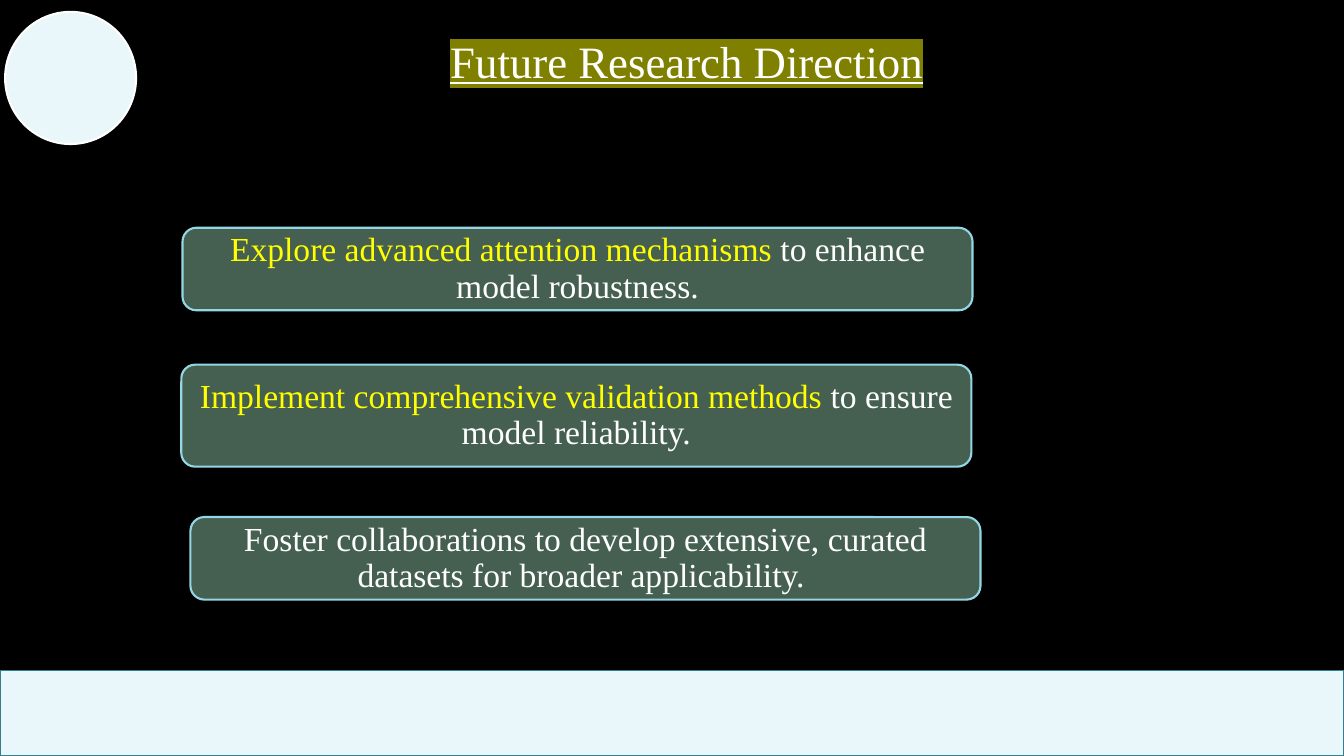
import dataclasses

import lxml.etree
import pptx
import pptx.dml.color
import pptx.enum.shapes
import pptx.enum.text
import pptx.oxml.ns
import pptx.util
from pptx.util import Cm


@dataclasses.dataclass(frozen=True)
class Theme:
    font: str = "Times New Roman"
    title_size: int = 32
    body_size: int = 24
    background: str = "000000"
    pale: str = "EAF7FA"
    band_edge: str = "30818C"
    white: str = "FFFFFF"
    olive: str = "808000"
    box: str = "455F51"
    box_edge: str = "94D7E4"
    emphasis: str = "FFFF00"


theme = Theme()
rgb = pptx.dml.color.RGBColor.from_string
shapes = pptx.enum.shapes.MSO_SHAPE
middle = pptx.enum.text.MSO_ANCHOR.MIDDLE
centre = pptx.enum.text.PP_ALIGN.CENTER

deck = pptx.Presentation()
deck.slide_width, deck.slide_height = Cm(33.87), Cm(19.05)
slide = deck.slides.add_slide(deck.slide_layouts[5])
slide.background.fill.solid()
slide.background.fill.fore_color.rgb = rgb(theme.background)


def add_panel(kind, place, fill, edge, weight):
    panel = slide.shapes.add_shape(kind, *map(Cm, place))
    panel.shadow.inherit = False
    panel.fill.solid()
    panel.fill.fore_color.rgb = rgb(fill)
    panel.line.color.rgb = rgb(edge)
    panel.line.width = pptx.util.Pt(weight)
    return panel


def format_paragraph(paragraph, size):
    paragraph.alignment = centre
    paragraph.line_spacing = 0.9
    paragraph.font.name = theme.font
    paragraph.font.size = pptx.util.Pt(size)


add_panel(shapes.RECTANGLE, (0, 16.89, 33.87, 2.16), theme.pale, theme.band_edge, 1)
add_panel(shapes.OVAL, (0.13, 0.3, 3.3, 3.33), theme.pale, theme.white, 1.5)

title = slide.shapes.title
title.left, title.top, title.width, title.height = map(Cm, (3.1, -0.23, 28.42, 3.68))
title.text_frame.vertical_anchor = middle
heading = title.text_frame.paragraphs[0]
format_paragraph(heading, theme.title_size)
heading.font.underline = True
heading_run = heading.add_run()
heading_run.text = "Future Research Direction"
heading_run.font.color.rgb = rgb(theme.white)
qn = pptx.oxml.ns.qn
highlight = lxml.etree.Element(qn("a:highlight"))
lxml.etree.SubElement(highlight, qn("a:srgbClr"), val=theme.olive)
heading_run.font.fill
heading_run._r.rPr.find(qn("a:solidFill")).addnext(highlight)

directions = [
    (4.6, 5.74, 2.08, "Explore advanced attention mechanisms ", "to enhance model robustness."),
    (4.57, 9.19, 2.57, "Implement comprehensive validation methods ", "to ensure model reliability."),
    (4.8, 13.03, 2.08, "",
     "Foster collaborations to develop extensive, curated datasets for broader applicability. "),
]
for left, top, height, emphasis, remainder in directions:
    direction = add_panel(shapes.ROUNDED_RECTANGLE, (left, top, 19.91, height),
                          theme.box, theme.box_edge, 1.5)
    direction.adjustments[0] = 0.35 / height
    frame = direction.text_frame
    frame.word_wrap = True
    frame.vertical_anchor = middle
    frame.margin_left = frame.margin_right = Cm(0.18)
    frame.margin_top = frame.margin_bottom = Cm(0.18)
    sentence = frame.paragraphs[0]
    format_paragraph(sentence, theme.body_size)
    for words, colour in ((emphasis, theme.emphasis), (remainder, theme.white)):
        if words:
            run = sentence.add_run()
            run.text = words
            run.font.color.rgb = rgb(colour)

deck.save("out.pptx")
